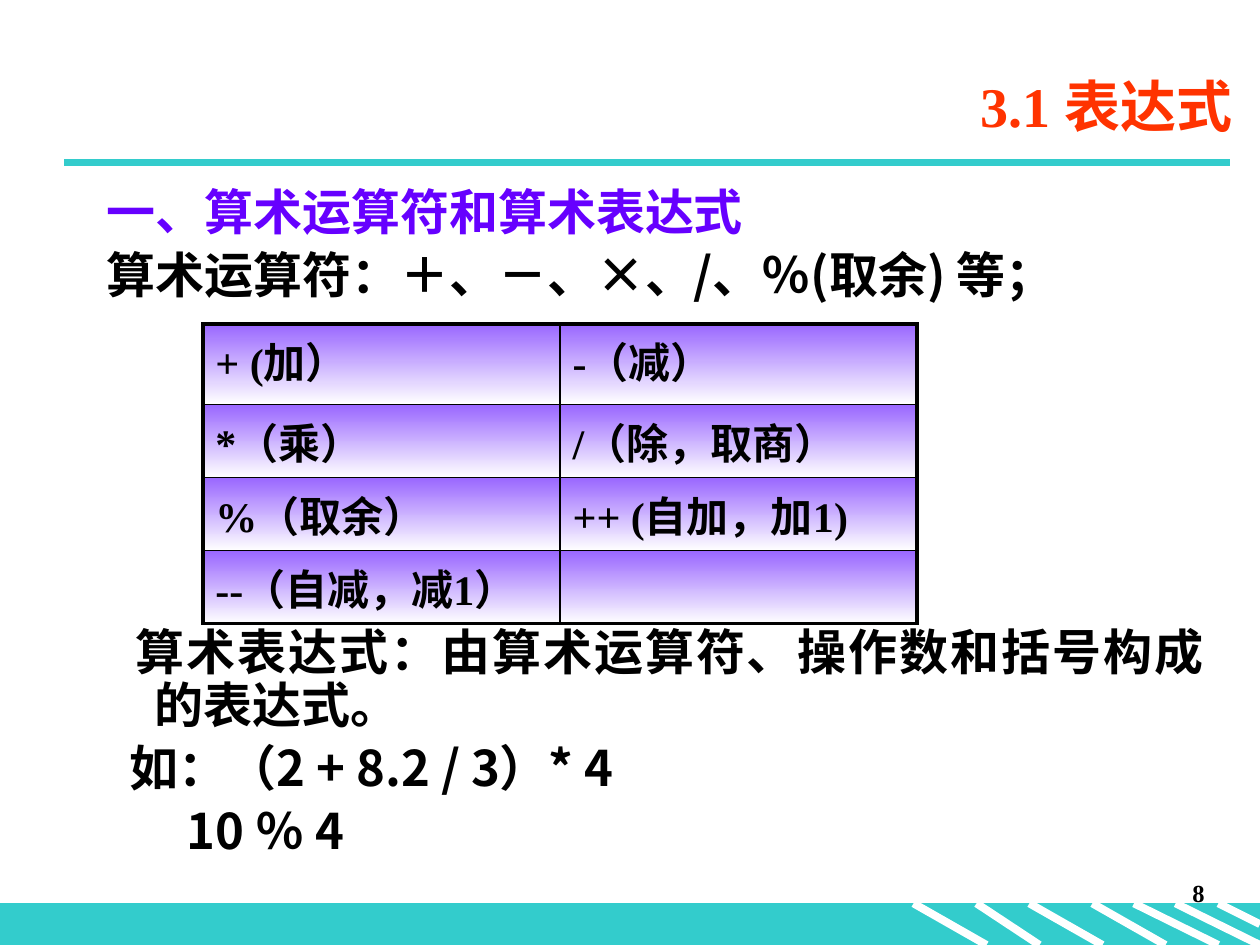
from lxml import etree
from pptx import Presentation
from pptx.dml.color import RGBColor
from pptx.enum.shapes import MSO_CONNECTOR, MSO_SHAPE
from pptx.enum.text import MSO_ANCHOR, PP_ALIGN
from pptx.oxml.ns import qn
from pptx.util import Inches, Pt

RECT = MSO_SHAPE.RECTANGLE
STRAIGHT = MSO_CONNECTOR.STRAIGHT
TOP, MIDDLE = MSO_ANCHOR.TOP, MSO_ANCHOR.MIDDLE
LEFT, RIGHT, JUSTIFY = PP_ALIGN.LEFT, PP_ALIGN.RIGHT, PP_ALIGN.JUSTIFY
SERIF, SANS = "Times New Roman", "Noto Sans CJK SC"
TEAL, WHITE, BLACK = "33CCCC", "FFFFFF", "000000"
RED, VIOLET, LILAC = "FF3300", "6600FF", "9966FF"

BODY = [
    ("一、算术运算符和算术表达式",
     dict(font=SERIF, color=VIOLET, align=LEFT)),
    ("算术运算符：＋、－、×、/、％(取余) 等；", {}),
    ("算术表达式：由算术运算符、操作数和括号构成的表达式。",
     dict(indent=-0.15, before=185)),
    ("如：（2 + 8.2 / 3）* 4", dict(indent=-0.2)),
    ("10 ％ 4", dict(margin=0.63, indent=0)),
]
OPERATORS = [
    ("+ (加）", "-（减）"),
    ("*（乘）", "/（除，取商）"),
    ("%（取余）", "++ (自加，加1)"),
    ("--（自减，减1）", ""),
]


def rgb(color):
    """Return the colour for a hex string."""
    return RGBColor.from_string(color)


def add_text(p, text, size=28, font=SERIF, color=BLACK, align=LEFT,
             margin=0, indent=0, before=0, spacing=None):
    """Fill a paragraph with one bold, formatted run."""
    p.alignment = align
    p.space_before = Pt(before)
    if spacing:
        p.line_spacing = Pt(spacing)
    pPr = p._p.get_or_add_pPr()
    pPr.set("marL", str(Inches(margin)))
    pPr.set("indent", str(Inches(indent)))
    r = p.add_run()
    r.text = text
    r.font.size, r.font.bold, r.font.name = Pt(size), True, font
    r.font.color.rgb = rgb(color)
    etree.SubElement(r._r.get_or_add_rPr(), qn("a:ea"), typeface=SANS)


def add_box(s, x, y, w, h, anchor=TOP):
    """Add a wrapping text box and return its text frame."""
    tf = s.shapes.add_textbox(Inches(x), Inches(y), Inches(w), Inches(h)).text_frame
    tf.word_wrap = True
    tf.vertical_anchor = anchor
    return tf


def add_line(s, x1, y1, x2, y2, color):
    """Add a thick straight line without a shadow."""
    sp = s.shapes.add_connector(STRAIGHT, Inches(x1), Inches(y1),
                                Inches(x2), Inches(y2))
    sp.line.color.rgb = rgb(color)
    sp.line.width = Pt(4.5)
    etree.SubElement(sp._element.spPr, qn("a:effectLst"))


def add_footer(s, x, y, w, h):
    """Add the teal band with its white strokes and the page number."""
    sp = s.shapes.add_shape(RECT, Inches(x), Inches(y), Inches(w), Inches(h))
    sp.shadow.inherit = False
    sp.fill.solid()
    sp.fill.fore_color.rgb = rgb(TEAL)
    sp.line.color.rgb = rgb(TEAL)
    sp.line.width = Pt(0.75)
    strokes = [(7.25, 0.58, 1), (7.75, 0.5, 1), (8.17, 0.58, 1), (8.67, 0.58, 1),
               (9, 0.67, 1), (9.33, 0.67, 1), (9.67, 0.33, 0.5)]
    for left, run, drop in strokes:
        add_line(s, x + left, y, x + left + run, y + h * drop, WHITE)
    tf = add_box(s, x + 7.58, y - 0.25, 2.08, 0.5)
    add_text(tf.paragraphs[0], "8", size=14, align=RIGHT, before=7)


def add_title(s, x, y, w, h):
    """Add the right-aligned title and the rule beneath it."""
    add_line(s, x, y + h + 0.06, x + w - 0.12, y + h + 0.06, TEAL)
    tf = add_box(s, x + 0.87, y, w - 0.87, h, MIDDLE)
    add_text(tf.paragraphs[0], "3.1 表达式", size=32, color=RED, align=RIGHT)


def add_body(s, x, y, w, h):
    """Add the body text, leaving room for the operator table."""
    tf = add_box(s, x, y, w, h)
    base = dict(font=SANS, align=JUSTIFY, margin=0.38, indent=-0.38,
                before=5.6, spacing=30.3)
    for i, (text, style) in enumerate(BODY):
        p = tf.add_paragraph() if i else tf.paragraphs[0]
        add_text(p, text, **{**base, **style})


def set_border(cell, side, width):
    """Draw one side of a cell in black."""
    ln = etree.SubElement(cell._tc.get_or_add_tcPr(), qn(f"a:ln{side}"),
                          w=str(Pt(width)))
    fill = etree.SubElement(ln, qn("a:solidFill"))
    etree.SubElement(fill, qn("a:srgbClr"), val=BLACK)


def add_operators(s, x, y, w, heights):
    """Add the operator table with gradient cells and a heavy frame."""
    rows, cols = len(OPERATORS), len(OPERATORS[0])
    table = s.shapes.add_table(rows, cols, Inches(x), Inches(y), Inches(w),
                               Inches(sum(heights))).table
    table.first_row = table.horz_banding = False
    for i, texts in enumerate(OPERATORS):
        table.rows[i].height = Inches(heights[i])
        for j, text in enumerate(texts):
            cell = table.cell(i, j)
            outer = {"L": j == 0, "R": j == cols - 1, "T": i == 0, "B": i == rows - 1}
            for side, heavy in outer.items():
                set_border(cell, side, 2.25 if heavy else 1)
            cell.fill.gradient()
            cell.fill.gradient_angle = 270
            for stop, color in zip(cell.fill.gradient_stops, (LILAC, WHITE)):
                stop.color.rgb = rgb(color)
            if text:
                add_text(cell.text_frame.paragraphs[0], text, size=24, before=4.8)


def main():
    """Build and save the slide."""
    prs = Presentation()
    prs.slide_width, prs.slide_height = Inches(10), Inches(7.5)
    s = prs.slides.add_slide(prs.slide_layouts[6])
    add_footer(s, 0, 7.17, 10, 0.33)
    add_title(s, 0.51, 0.44, 9.37, 0.79)
    add_body(s, 0.75, 1.44, 8.9, 2.23)
    add_operators(s, 1.61, 2.57, 5.67, [0.64, 0.58, 0.58, 0.58])
    prs.save("out.pptx")


if __name__ == "__main__":
    main()
